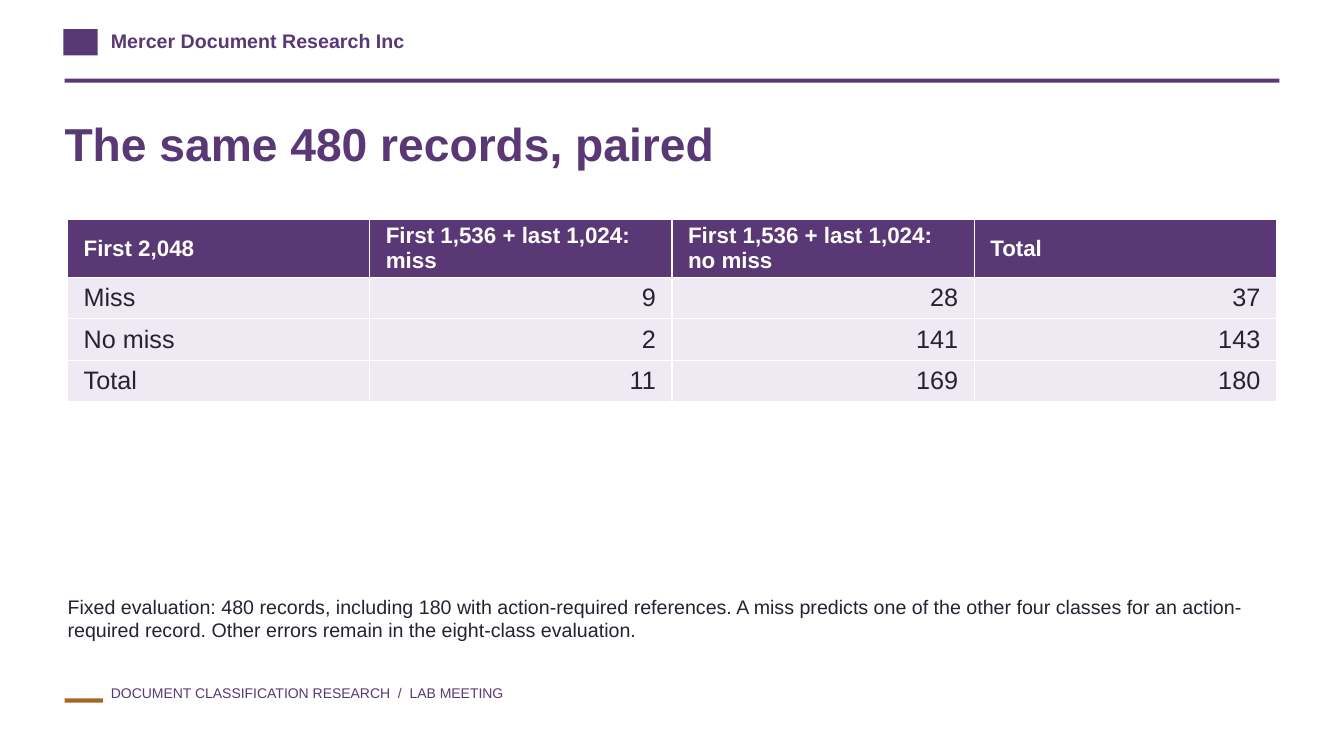
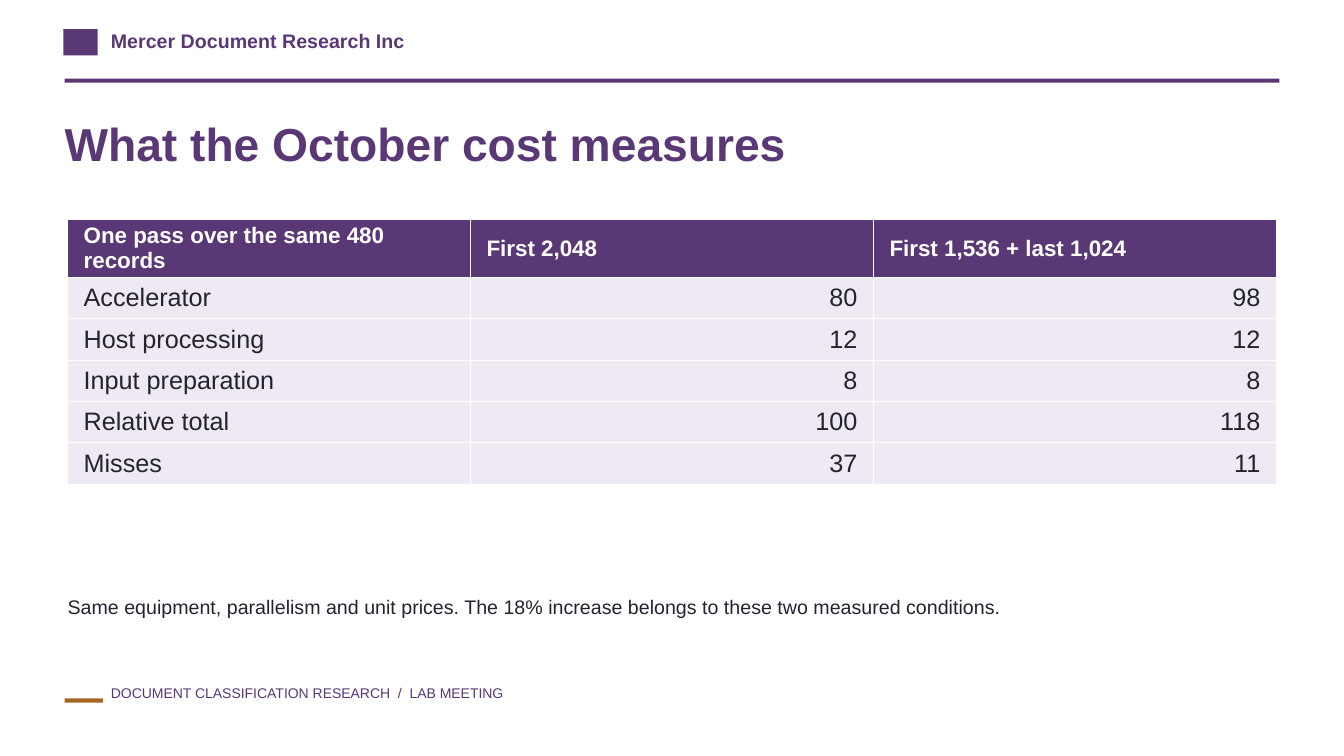
"""Build two lab meeting slides with paired result tables."""

import pptx
import pptx.dml.color
import pptx.enum.shapes
import pptx.enum.text
import pptx.oxml
import pptx.util

EMU_PER_PX = 9144
FONT = "Arial"
PURPLE = pptx.dml.color.RGBColor(0x59, 0x38, 0x75)
OCHRE = pptx.dml.color.RGBColor(0xA5, 0x67, 0x20)
INK = pptx.dml.color.RGBColor(0x24, 0x23, 0x31)
LILAC = pptx.dml.color.RGBColor(0xEF, 0xE9, 0xF4)
WHITE = pptx.dml.color.RGBColor(0xFF, 0xFF, 0xFF)

TITLE_BOX = (64, 114, 1204, 82)
NOTE_BOX = (67, 590, 1199, 58)
TABLE_LEFT, TABLE_TOP, TABLE_WIDTH, ROW_HEIGHT = 67, 218, 1199, 41

SLIDES = [
    (
        "The same 480 records, paired",
        [
            ("First 2,048", "First 1,536 + last 1,024: miss",
             "First 1,536 + last 1,024: no miss", "Total"),
            ("Miss", "9", "28", "37"),
            ("No miss", "2", "141", "143"),
            ("Total", "11", "169", "180"),
        ],
        "Fixed evaluation: 480 records, including 180 with action-required references. "
        "A miss predicts one of the other four classes for an action-required record. "
        "Other errors remain in the eight-class evaluation.",
    ),
    (
        "What the October cost measures",
        [
            ("One pass over the same 480 records", "First 2,048", "First 1,536 + last 1,024"),
            ("Accelerator", "80", "98"),
            ("Host processing", "12", "12"),
            ("Input preparation", "8", "8"),
            ("Relative total", "100", "118"),
            ("Misses", "37", "11"),
        ],
        "Same equipment, parallelism and unit prices. "
        "The 18% increase belongs to these two measured conditions.",
    ),
]


def px(length):
    return pptx.util.Emu(round(length * EMU_PER_PX))


def set_text(text_frame, text, size, color, bold=False, alignment=pptx.enum.text.PP_ALIGN.LEFT):
    text_frame.text = text
    paragraph = text_frame.paragraphs[0]
    paragraph.alignment = alignment
    font = paragraph.runs[0].font
    font.name = FONT
    font.size = pptx.util.Pt(size)
    font.bold = bold
    font.color.rgb = color
    return paragraph


def set_margins(target, horizontal, vertical):
    target.margin_left = target.margin_right = px(horizontal)
    target.margin_top = target.margin_bottom = px(vertical)


def add_bar(slide, box, color):
    shape = slide.shapes.add_shape(pptx.enum.shapes.MSO_SHAPE.RECTANGLE, *map(px, box))
    shape.shadow.inherit = False
    shape.fill.solid()
    shape.fill.fore_color.rgb = color
    shape.line.fill.background()
    return shape


def add_label(slide, box, text, size, bold=False):
    shape = slide.shapes.add_textbox(*map(px, box))
    shape.text_frame.word_wrap = False
    set_margins(shape.text_frame, 0, 0)
    set_text(shape.text_frame, text, size, PURPLE, bold)
    return shape


def add_frame(layout, slide):
    """Draw the header and footer, then move them to the shared layout."""
    shapes = [
        add_bar(slide, (63, 29, 34, 26), PURPLE),
        add_label(slide, (110, 29, 310, 30), "Mercer Document Research Inc", 14, True),
        add_bar(slide, (64, 78, 1205, 4), PURPLE),
        add_bar(slide, (64, 693, 38, 4), OCHRE),
        add_label(slide, (110, 679, 430, 35),
                  "DOCUMENT CLASSIFICATION RESEARCH  /  LAB MEETING", 10),
    ]
    for shape in shapes:
        layout.shapes.element.append(shape.element)


def prepare_layout(layout):
    for placeholder in list(layout.placeholders):
        if placeholder.placeholder_format.idx > 1:
            placeholder.element.getparent().remove(placeholder.element)


def fill_placeholder(placeholder, box, text, size, color, bold=False):
    placeholder.left, placeholder.top, placeholder.width, placeholder.height = map(px, box)
    text_frame = placeholder.text_frame
    text_frame.word_wrap = True
    text_frame.auto_size = pptx.enum.text.MSO_AUTO_SIZE.NONE
    text_frame.vertical_anchor = pptx.enum.text.MSO_ANCHOR.TOP
    set_margins(text_frame, 0, 0)
    paragraph = set_text(text_frame, text, size, color, bold)
    paragraph.space_before = pptx.util.Pt(0)
    paragraph.space_after = pptx.util.Pt(8)
    properties = paragraph._p.get_or_add_pPr()
    properties.set("marL", "0")
    properties.set("indent", "0")
    properties.append(pptx.oxml.parse_xml(
        '<a:buNone xmlns:a="http://schemas.openxmlformats.org/drawingml/2006/main"/>'))


def format_cell(cell, text, is_header, is_number):
    cell.fill.solid()
    cell.fill.fore_color.rgb = PURPLE if is_header else LILAC
    cell.vertical_anchor = pptx.enum.text.MSO_ANCHOR.MIDDLE
    set_margins(cell, 16, 4)
    alignment = pptx.enum.text.PP_ALIGN.RIGHT if is_number else pptx.enum.text.PP_ALIGN.LEFT
    size, color = (16, WHITE) if is_header else (18, INK)
    set_text(cell.text_frame, text, size, color, is_header, alignment)


def add_result_table(slide, rows):
    column_count = len(rows[0])
    table = slide.shapes.add_table(
        len(rows), column_count, px(TABLE_LEFT), px(TABLE_TOP),
        px(TABLE_WIDTH), px(ROW_HEIGHT * len(rows))).table
    table.horz_banding = False
    for column in table.columns:
        column.width = px(TABLE_WIDTH / column_count)
    for row_index, row in enumerate(rows):
        table.rows[row_index].height = px(ROW_HEIGHT)
        for column_index, text in enumerate(row):
            is_header = row_index == 0
            format_cell(table.cell(row_index, column_index), text,
                        is_header, not is_header and column_index > 0)


def main():
    presentation = pptx.Presentation()
    presentation.slide_width = pptx.util.Inches(13.33)
    presentation.slide_height = pptx.util.Inches(7.5)
    layout = presentation.slide_layouts[1]
    prepare_layout(layout)
    for index, (title, rows, note) in enumerate(SLIDES):
        slide = presentation.slides.add_slide(layout)
        if index == 0:
            add_frame(layout, slide)
        fill_placeholder(slide.shapes.title, TITLE_BOX, title, 33, PURPLE, True)
        add_result_table(slide, rows)
        fill_placeholder(slide.placeholders[1], NOTE_BOX, note, 14, INK)
    presentation.save("out.pptx")


if __name__ == "__main__":
    main()
